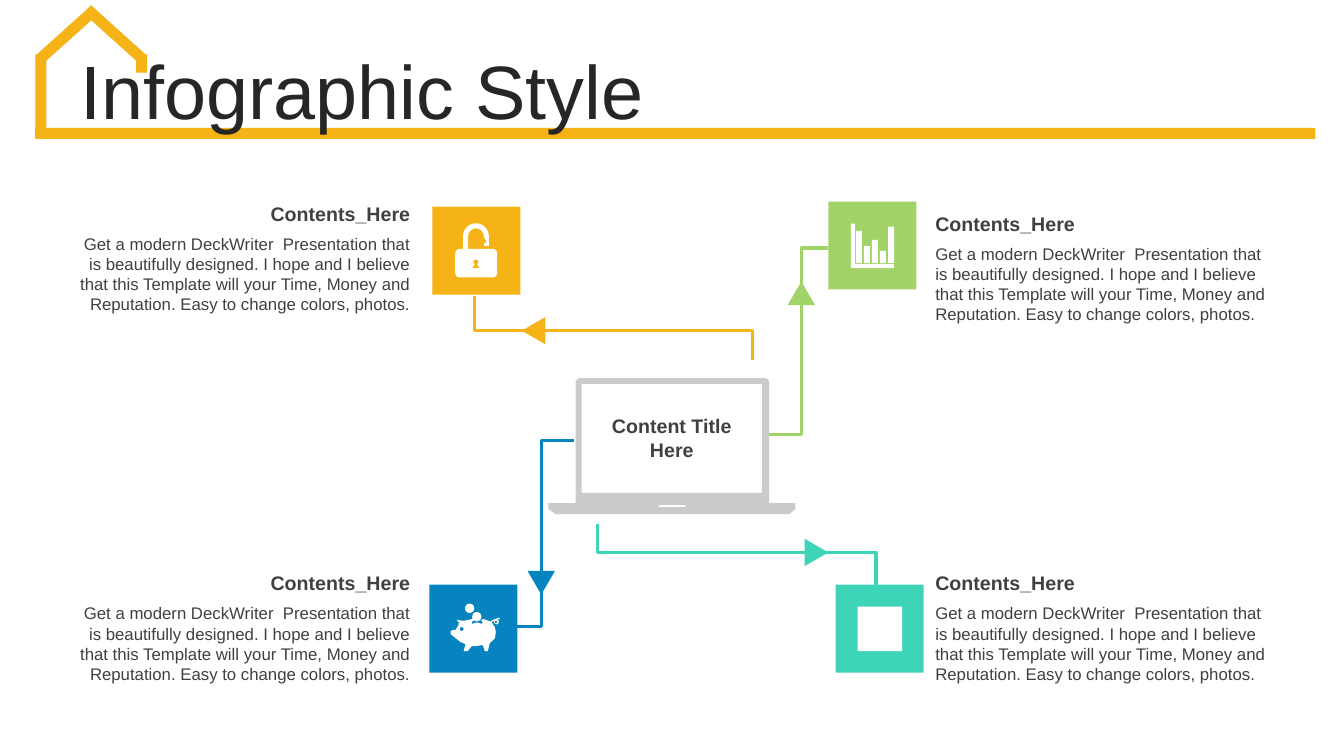
from math import cos, radians, sin

from pptx import Presentation
from pptx.dml.color import RGBColor
from pptx.enum.shapes import MSO_SHAPE
from pptx.enum.text import MSO_ANCHOR, MSO_AUTO_SIZE, PP_ALIGN
from pptx.util import Pt

RECTANGLE = MSO_SHAPE.RECTANGLE
TRIANGLE = MSO_SHAPE.ISOSCELES_TRIANGLE
LEFT, CENTER, RIGHT = PP_ALIGN.LEFT, PP_ALIGN.CENTER, PP_ALIGN.RIGHT
MIDDLE = MSO_ANCHOR.MIDDLE
NO_FIT, GROW = MSO_AUTO_SIZE.NONE, MSO_AUTO_SIZE.SHAPE_TO_FIT_TEXT

YELLOW = RGBColor(0xF5, 0xB3, 0x17)
GREEN = RGBColor(0xA2, 0xD3, 0x68)
TEAL = RGBColor(0x3E, 0xD4, 0xB7)
BLUE = RGBColor(0x06, 0x84, 0xBF)
GRAY = RGBColor(0xCB, 0xCB, 0xCB)
WHITE = RGBColor(0xFF, 0xFF, 0xFF)
TITLE_COLOR = RGBColor(0x26, 0x26, 0x26)
TEXT_COLOR = RGBColor(0x40, 0x40, 0x40)

FONT = "Arial"
TILE = 62.8
ARROW_WIDTH, ARROW_HEIGHT = 19.6, 16.9
BODY = ("Get a modern DeckWriter  Presentation that is beautifully designed. "
        "I hope and I believe that this Template will your Time, Money and "
        "Reputation. Easy to change colors, photos.")


def add_block(slide, kind, left, top, width, height, color, rotation=0):
    shape = slide.shapes.add_shape(kind, Pt(left), Pt(top), Pt(width), Pt(height))
    shape.shadow.inherit = False
    shape.fill.solid()
    shape.fill.fore_color.rgb = color
    shape.line.fill.background()
    shape.rotation = rotation


def box(left, top, right, bottom):
    return [(left, top), (right, top), (right, bottom), (left, bottom)]


def arc(x, y, radius, start=0, end=360, steps=20):
    angles = [radians(start + (end - start) * i / steps) for i in range(steps + 1)]
    return [(x + radius * cos(a), y + radius * sin(a)) for a in angles]


def add_outline(slide, contours, closed=True):
    builder = None
    for contour in contours:
        first, *rest = [(Pt(x), Pt(y)) for x, y in contour]
        if builder is None:
            builder = slide.shapes.build_freeform(*first)
        else:
            builder.move_to(*first)
        builder.add_line_segments(rest, close=closed)
    shape = builder.convert_to_shape()
    shape.shadow.inherit = False
    return shape


def add_filled_outline(slide, contours, color):
    shape = add_outline(slide, contours)
    shape.fill.solid()
    shape.fill.fore_color.rgb = color
    shape.line.fill.background()


def add_elbow(slide, start, end, bend, arrow_at, rotation, color):
    """Three-part line with an arrow on its middle part."""
    (x1, y1), (x2, y2) = start, end
    if rotation in (0, 180):
        corners, center = [(bend, y1), (bend, y2)], (bend, arrow_at)
    else:
        corners, center = [(x1, bend), (x2, bend)], (arrow_at, bend)
    line = add_outline(slide, [[start, *corners, end]], closed=False)
    line.fill.background()
    line.line.color.rgb = color
    line.line.width = Pt(2.25)
    add_block(slide, TRIANGLE, center[0] - ARROW_WIDTH / 2,
              center[1] - ARROW_HEIGHT / 2, ARROW_WIDTH, ARROW_HEIGHT, color, rotation)


def write(paragraph, text, size, color, align, bold=False):
    paragraph.alignment = align
    run = paragraph.add_run()
    run.text = text
    run.font.name = FONT
    run.font.size = Pt(size)
    run.font.bold = bold
    run.font.color.rgb = color


def add_text(slide, left, top, width, height, lines, size, align, bold=False):
    frame = slide.shapes.add_textbox(Pt(left), Pt(top), Pt(width), Pt(height)).text_frame
    frame.word_wrap = True
    frame.auto_size = GROW
    for index, line in enumerate(lines):
        paragraph = frame.add_paragraph() if index else frame.paragraphs[0]
        write(paragraph, line, size, TEXT_COLOR, align, bold)


def add_contents(slide, left, top, align):
    add_text(slide, left, top + 22.7, 252, 65.5, [BODY], 12, align)
    add_text(slide, left, top, 252, 24.5, ["Contents_Here"], 14, align, bold=True)


def add_house(slide):
    for left, top, width, height, rotation in (
            (25.2, 91.4, 914.4, 7.9, 0), (25.2, 38.9, 7.9, 57.6, 0),
            (97.2, 38.9, 7.9, 13, 0), (43.9, -2.2, 7.9, 54, 48),
            (78.5, -2.2, 7.9, 54, 312)):
        add_block(slide, RECTANGLE, left, top, width, height, YELLOW, rotation)


def format_title(slide):
    title = slide.shapes.title
    title.left, title.top, title.width, title.height = Pt(50.4), Pt(39.6), Pt(886.3), Pt(56.9)
    frame = title.text_frame
    frame.word_wrap = True
    frame.auto_size = NO_FIT
    frame.vertical_anchor = MIDDLE
    paragraph = frame.paragraphs[0]
    paragraph.line_spacing = 0.9
    paragraph.space_before = Pt(10)
    write(paragraph, "Infographic Style", 54, TITLE_COLOR, LEFT)
    # Bring the title in front of the house
    slide.shapes._spTree.append(title._element)


def add_laptop(slide):
    case = (arc(414.7, 273.6, 3.6, 180, 270, 4) + arc(545.8, 273.6, 3.6, 270, 360, 4)
            + [(549.4, 359.3), (568.1, 359.3), (568.1, 363.6), (563.8, 367.2),
               (396.7, 367.2), (391.7, 363.6), (391.7, 359.3), (411.1, 359.3)])
    screen = box(415.4, 274.3, 544.3, 352.1)
    slot = box(470.9, 360.7, 489.6, 362.2)
    add_filled_outline(slide, [case, screen, slot], GRAY)


def add_lock(slide):
    x, y = 340, 168.8
    shackle = (arc(x, y, 9.2, 180, 360)
               + [(349.2, 175.7), (345.6, 175.7), (345.6, 173.5), (347.8, 173.5)]
               + arc(x, y, 5.6, 360, 180))
    body = (arc(352, 181.1, 3.2, 270, 360, 5) + arc(352, 195, 3.2, 0, 90, 5)
            + arc(328.4, 195, 3.2, 90, 180, 5) + arc(328.4, 181.1, 3.2, 180, 270, 5))
    outline = [(330.8, 177.9)] + shackle + [(334.4, 177.9)] + body
    keyhole = arc(x, 187.2, 1.8, 120, 420) + [(342.5, 191.5), (337.5, 191.5)]
    add_filled_outline(slide, [outline, keyhole], WHITE)


def add_bar_icon(slide):
    axes = [(607.7, 159.8), (610.6, 159.8), (610.6, 188.6), (638.6, 188.6),
            (638.6, 191.5), (607.7, 191.5)]
    tops = (164.9, 175.7, 171.4, 179.3, 162)
    bars = [box(611.3 + 5.76 * i, top, 615.6 + 5.76 * i, 187.9)
            for i, top in enumerate(tops)]
    add_filled_outline(slide, [axes, *bars], WHITE)


def add_piggy_bank(slide):
    pig = [(357.1, 441.4), (357.1, 442.1), (355, 442.8), (356.4, 443.5), (356.1, 445.3),
           (354.7, 446), (352.8, 445), (352.8, 443.5), (352.1, 443.5), (351.4, 445),
           (353.5, 448), (354.2, 451.4), (353.5, 456), (349.9, 459.4), (348.5, 465.1),
           (346.3, 465.1), (344.9, 460.8), (339.8, 461.5), (337, 461.5), (334.1, 465.1),
           (331.2, 465.1), (332.6, 460.1), (329, 458.6), (325.4, 455.8), (321.8, 452.9),
           (321.8, 450.7), (324, 450), (325.4, 450), (327.6, 446.4), (327.8, 444.5),
           (326.2, 442.8), (331.2, 443.5), (337.7, 442.1), (338.4, 443.5), (337, 444.2),
           (337, 445.7), (340.6, 444.5), (344.2, 445.7), (344.9, 444.2), (343.4, 443.5),
           (344.9, 442.1), (350.6, 444), (352.1, 442.8), (354.2, 442.1), (355.7, 441.4)]
    eye, tail_loop = arc(329.8, 449.3, 1.4), arc(354.3, 444.3, 0.9)
    coins = [arc(340.6, 440.5, 3.3), arc(335.5, 434.5, 3.3)]
    add_filled_outline(slide, [pig, eye, tail_loop, *coins], WHITE)


def main():
    presentation = Presentation()
    presentation.slide_width, presentation.slide_height = Pt(960), Pt(540)
    slide = presentation.slides.add_slide(presentation.slide_layouts[5])

    # Header
    add_house(slide)
    format_title(slide)

    # Lines from the laptop to the tiles
    add_elbow(slide, (409.7, 314.6), (367.2, 447.8), 386.6, 416.2, 180, BLUE)
    add_laptop(slide)
    add_elbow(slide, (549.4, 310.3), (591.8, 177.1), 572.4, 209.5, 0, GREEN)
    add_elbow(slide, (427, 374.4), (625.7, 419.8), 394.6, 583.2, 90, TEAL)
    add_elbow(slide, (537.8, 257), (339.1, 211.7), 236.2, 381.2, 270, YELLOW)

    # Tiles and their icons
    for left, top, color in ((591.8, 144, GREEN), (596.9, 417.6, TEAL),
                             (306.7, 417.6, BLUE), (308.9, 147.6, YELLOW)):
        add_block(slide, RECTANGLE, left, top, TILE, TILE, color)
    add_lock(slide)
    add_piggy_bank(slide)
    add_bar_icon(slide)
    add_block(slide, RECTANGLE, 612.7, 433.4, 31.7, 31.7, WHITE)

    # Texts
    add_text(slide, 428.4, 292.3, 103, 41, ["Content Title", "Here"], 14, CENTER, bold=True)
    for left, top, align in ((661, 147.6, LEFT), (661, 404.6, LEFT),
                             (48.2, 404.6, RIGHT), (48.2, 140.4, RIGHT)):
        add_contents(slide, left, top, align)

    presentation.save("out.pptx")


if __name__ == "__main__":
    main()
